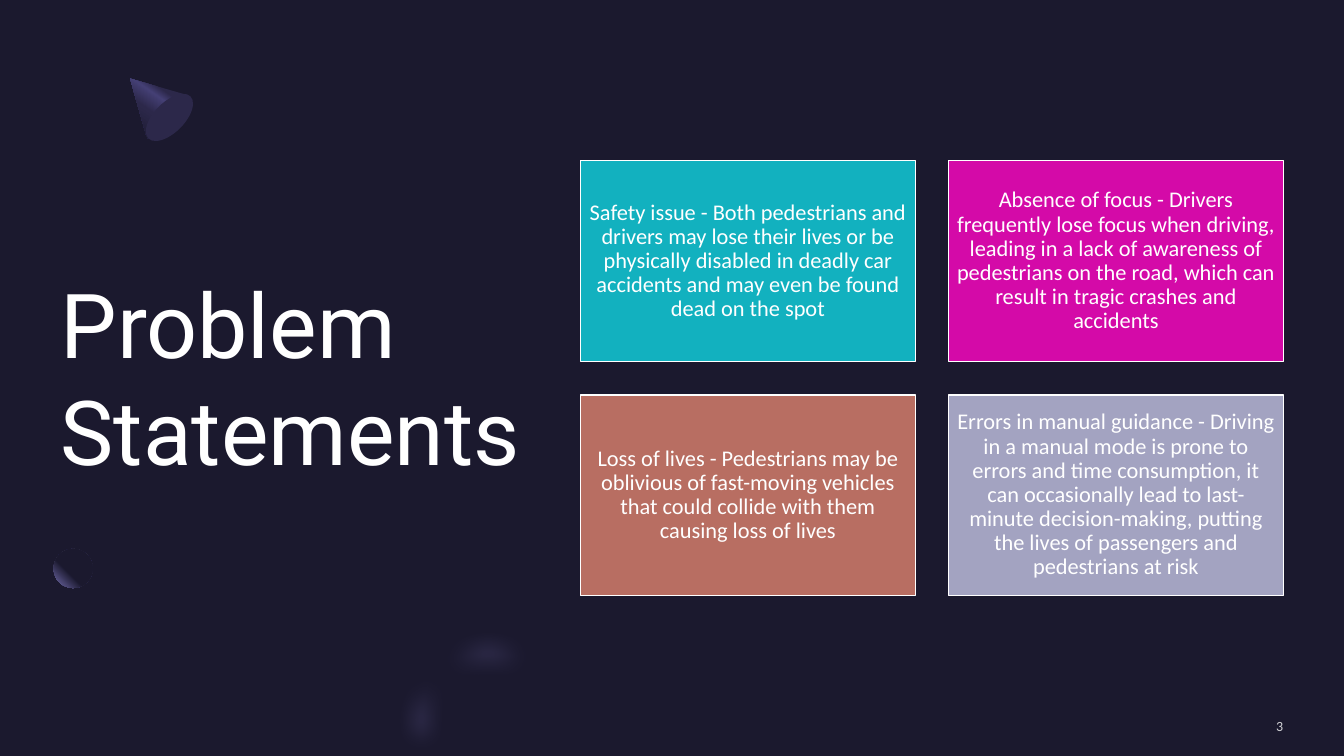
from lxml.etree import SubElement
from pptx import Presentation
from pptx.dml.color import RGBColor
from pptx.enum.shapes import MSO_SHAPE
from pptx.enum.text import MSO_ANCHOR, MSO_AUTO_SIZE, PP_ALIGN
from pptx.oxml.ns import qn
from pptx.util import Cm, Pt

BACKGROUND = "1B192E"
WHITE = "FFFFFF"
CARDS = [
    ("12B1BF", "Safety issue - Both pedestrians and drivers may lose their lives or be "
               "physically disabled in deadly car accidents and may even be found dead on the spot"),
    ("D40AA8", "Absence of focus - Drivers frequently lose focus when driving, leading in a lack "
               "of awareness of pedestrians on the road, which can result in tragic crashes and accidents"),
    ("B86E62", "Loss of lives - Pedestrians may be oblivious of fast-moving vehicles that could "
               "collide with them causing loss of lives"),
    ("A3A3C1", "Errors in manual guidance - Driving in a manual mode is prone to errors and time "
               "consumption, it can occasionally lead to last-minute decision-making, putting the "
               "lives of passengers and pedestrians at risk"),
]


def color(value):
    return RGBColor.from_string(value)


def set_text(shape, text, size, font_name, font_color, alignment, margin=0):
    frame = shape.text_frame
    frame.text = text
    frame.word_wrap = True
    frame.auto_size = MSO_AUTO_SIZE.NONE
    frame.vertical_anchor = MSO_ANCHOR.MIDDLE
    frame.margin_left = frame.margin_right = Cm(margin)
    frame.margin_top = frame.margin_bottom = Cm(margin)
    paragraph = frame.paragraphs[0]
    paragraph.alignment = alignment
    font = paragraph.runs[0].font
    font.size = Pt(size)
    font.name = font_name
    font.color.rgb = color(font_color)
    return paragraph


def style_shape(shape, fill_color):
    shape.shadow.inherit = False
    shape.fill.solid()
    shape.fill.fore_color.rgb = color(fill_color)
    shape.line.fill.background()
    return shape


def add_shape(slide, kind, left, top, width, height, fill_color):
    shape = slide.shapes.add_shape(kind, Cm(left), Cm(top), Cm(width), Cm(height))
    return style_shape(shape, fill_color)


def add_outline(slide, left, top, points, fill_color):
    builder = slide.shapes.build_freeform(*points[0], scale=Cm(0.01))
    builder.add_line_segments(points[1:], close=True)
    return style_shape(builder.convert_to_shape(Cm(left), Cm(top)), fill_color)


def curve(start, first, second, end, steps=12):
    points = []
    for step in range(steps + 1):
        t = step / steps
        weights = ((1 - t) ** 3, 3 * t * (1 - t) ** 2, 3 * t ** 2 * (1 - t), t ** 3)
        points.append(tuple(sum(weight * value for weight, value in zip(weights, axis))
                            for axis in zip(start, first, second, end)))
    return points


def set_gradient(shape, stops, angle=None, focus=None):
    shape.fill.background()
    properties = shape.element.spPr
    empty_fill = properties.find(qn("a:noFill"))
    gradient = SubElement(properties, qn("a:gradFill"), rotWithShape="1")
    properties.replace(empty_fill, gradient)
    stop_list = SubElement(gradient, qn("a:gsLst"))
    for position, value in stops:
        stop = SubElement(stop_list, qn("a:gs"), pos=str(position * 1000))
        SubElement(stop, qn("a:srgbClr"), val=value)
    if focus is None:
        SubElement(gradient, qn("a:lin"), ang=str(angle * 60000), scaled="0")
    else:
        circle = SubElement(gradient, qn("a:path"), path="circle")
        sides = {side: str(share * 1000) for side, share in zip("ltrb", focus)}
        SubElement(circle, qn("a:fillToRect"), **sides)


def add_title(slide, left, top, width, height):
    title = slide.shapes.title
    title.left, title.top, title.width, title.height = Cm(left), Cm(top), Cm(width), Cm(height)
    set_text(title, "Problem Statements", 64, "Roboto", WHITE, PP_ALIGN.LEFT)


def add_cone(slide, left, top):
    points = [(0, 0), (142, 41), (150, 46), (155, 70), (124, 124), (80, 152), (46, 152), (41, 145)]
    cone = add_outline(slide, left, top, points, BACKGROUND)
    set_gradient(cone, [(30, "2C284A"), (40, "454075"), (60, "2C284A"), (100, BACKGROUND)], angle=125)
    base = add_shape(slide, MSO_SHAPE.OVAL, left + 0.61, top + 0.23, 0.76, 1.5, "2C284A")
    base.rotation = 45


def add_orb(slide, left, top, size):
    orb = add_shape(slide, MSO_SHAPE.OVAL, left, top, size, size, BACKGROUND)
    set_gradient(orb, [(60, BACKGROUND), (100, "7771B2")], focus=(100, 0, 0, 100))


def add_soft_ring(slide, left, top):
    points = (curve((234, 2), (313, -3), (394, 30), (458, 94))
              + curve((369, 185), (310, 127), (224, 122), (173, 173))
              + curve((173, 173), (138, 211), (130, 269), (153, 320))
              + [(158, 330), (16, 330)]
              + curve((11, 312), (-10, 223), (8, 132), (72, 71))
              + curve((72, 71), (115, 25), (173, 2), (234, 2)))
    ring = add_outline(slide, left, top, points, "7771B2")
    properties = ring.element.spPr
    ring_color = properties.find(qn("a:solidFill")).find(qn("a:srgbClr"))
    SubElement(ring_color, qn("a:alpha"), val="40000")
    SubElement(properties.find(qn("a:effectLst")), qn("a:softEdge"), rad=str(Pt(15)))


def add_cards(slide, left, top, width, height, gap=0.84):
    card_width = (width - gap) / 2
    card_height = (height - gap) / 2
    for index, (fill_color, text) in enumerate(CARDS):
        row, column = divmod(index, 2)
        card = add_shape(slide, MSO_SHAPE.RECTANGLE, left + column * (card_width + gap),
                         top + row * (card_height + gap), card_width, card_height, fill_color)
        card.line.color.rgb = color(WHITE)
        card.line.width = Pt(1)
        paragraph = set_text(card, text, 16, "Calibri", WHITE, PP_ALIGN.CENTER, 0.17)
        paragraph.line_spacing = 0.9


def add_page_number(slide, left, top, width, height):
    box = slide.shapes.add_textbox(Cm(left), Cm(top), Cm(width), Cm(height))
    set_text(box, "3", 10, "Calibri", "D1D1D5", PP_ALIGN.RIGHT)


def main():
    presentation = Presentation()
    presentation.slide_width = Cm(33.87)
    presentation.slide_height = Cm(19.05)
    slide = presentation.slides.add_slide(presentation.slide_layouts[5])
    slide.background.fill.solid()
    slide.background.fill.fore_color.rgb = color(BACKGROUND)
    add_title(slide, 1.53, 4.23, 12.6, 10.49)
    add_cone(slide, 3.28, 1.98)
    add_orb(slide, 1.35, 13.83, 0.99)
    add_soft_ring(slide, 9.85, 15.75)
    add_page_number(slide, 27.64, 18.08, 4.7, 0.43)
    add_cards(slide, 14.63, 4.05, 17.71, 10.96)
    presentation.save("out.pptx")


if __name__ == "__main__":
    main()
